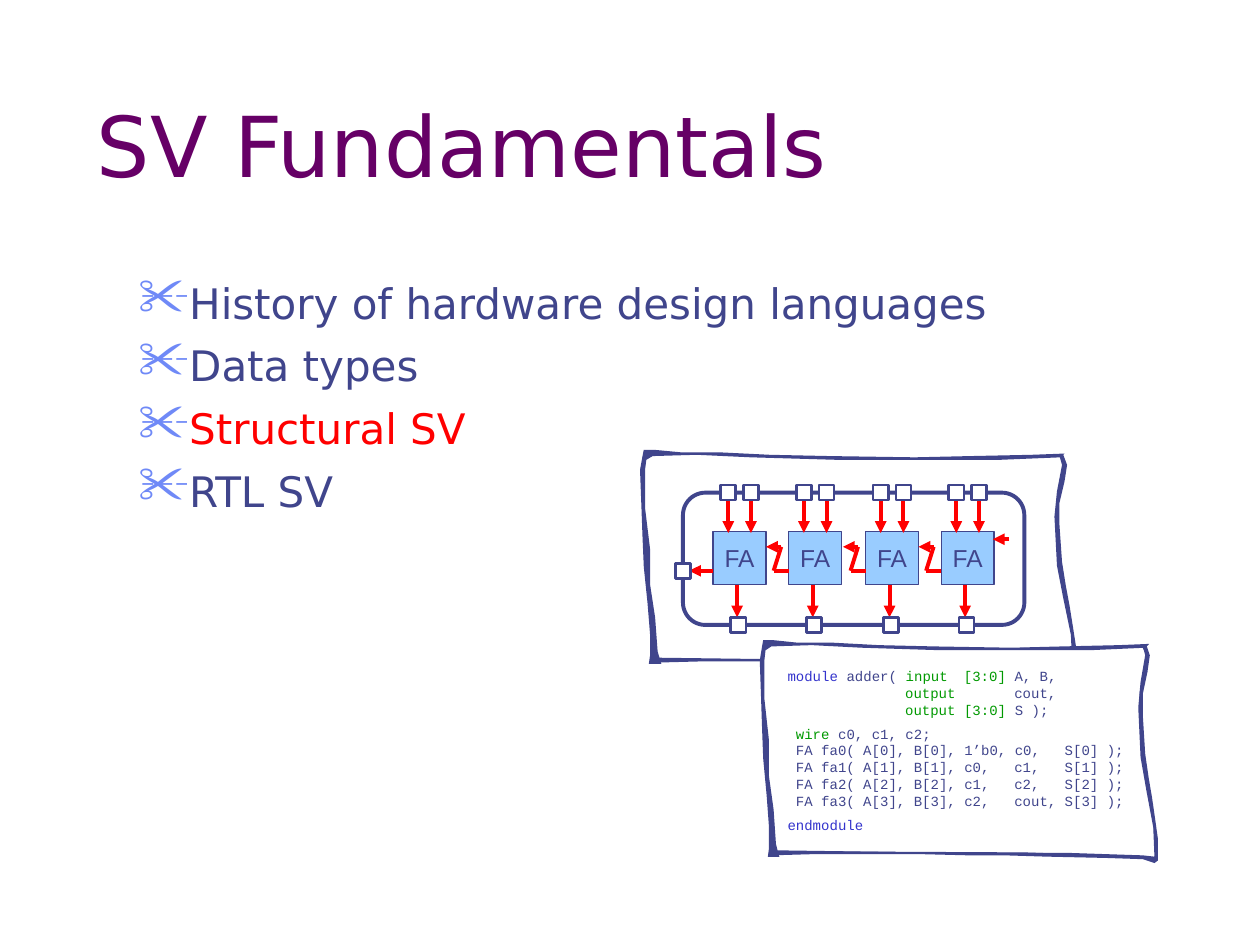
import pptx
import pptx.dml.color
import pptx.enum.shapes
import pptx.enum.text
import pptx.oxml
import pptx.oxml.ns
import pptx.util

RGB = pptx.dml.color.RGBColor
SHAPE = pptx.enum.shapes.MSO_SHAPE
ANCHOR = pptx.enum.text.MSO_ANCHOR
ALIGN = pptx.enum.text.PP_ALIGN

INDIGO = RGB(0x40, 0x45, 0x8C)
PURPLE = RGB(0x66, 0x00, 0x66)
RED = RGB(0xFF, 0x00, 0x00)
SKY = RGB(0x99, 0xCC, 0xFF)
WHITE = RGB(0xFF, 0xFF, 0xFF)
KEYWORD = RGB(0x33, 0x33, 0xCC)
GREEN = RGB(0x00, 0x99, 0x00)
BULLET = RGB(0x6F, 0x89, 0xF7)

PX = 9144  # 100 px to the inch
CODE_CHAR = 60960  # one 8 pt Courier New column, in EMU

# Content: a line is (runs, space before in pt, tab columns)
TITLE = [([("SV Fundamentals", PURPLE)], 0, ())]
TOPICS = [
    ([(topic, color)], 7, ())
    for topic, color in [
        ("History of hardware design languages", INDIGO),
        ("Data types", INDIGO),
        ("Structural SV", RED),
        ("RTL SV", INDIGO),
    ]
]
ADDER_LABEL = [([("FA", INDIGO)], 0, ())]
INSTANCES = [
    " FA fa0( A[0], B[0], 1’b0, c0,\tS[0] );",
    " FA fa1( A[1], B[1], c0,\tc1,\tS[1] );",
    " FA fa2( A[2], B[2], c1,\tc2,\tS[2] );",
    " FA fa3( A[3], B[3], c2,\tcout,\tS[3] );",
]
CODE = [
    ([("module", KEYWORD), (" adder( ", INDIGO), ("input\t[3:0]", GREEN),
      (" A, B,", INDIGO)], 0, (21,)),
    ([("\toutput", GREEN), ("\tcout,", INDIGO)], 0, (14, 27)),
    ([("\toutput [3:0]", GREEN), (" S );", INDIGO)], 0, (14,)),
    ([(" wire", GREEN), (" c0, c1, c2;", INDIGO)], 4, ()),
    *[([(instance, INDIGO)], 0, (27, 33)) for instance in INSTANCES],
    ([("endmodule", KEYWORD)], 4.5, ()),
]

# Hand-drawn frame: two brush strokes, fitted to a box for each frame
TOP_LEFT_STROKE = [
    (842, 363), (793, 365), (732, 365), (665, 365), (596, 363), (553, 361),
    (518, 362), (513, 365), (512, 373), (512, 403), (516, 436), (516, 464),
    (520, 490), (522, 517), (524, 524), (525, 527), (515, 527), (516, 520),
    (516, 504), (514, 479), (511, 450), (510, 426), (509, 399), (508, 373),
    (510, 362), (511, 357), (519, 357), (540, 359), (570, 359), (611, 361),
    (659, 362), (726, 363), (770, 362), (819, 361), (845, 360),
]
BOTTOM_RIGHT_STROKE = [
    (521, 522), (598, 523), (677, 524), (727, 524), (774, 524), (840, 526),
    (850, 527), (849, 504), (843, 475), (838, 449), (836, 410), (838, 390),
    (842, 369), (840, 362), (843, 361), (846, 369), (844, 382), (840, 399),
    (840, 417), (842, 446), (845, 465), (848, 481), (851, 500), (853, 513),
    (853, 530), (850, 532), (840, 529), (808, 528), (757, 527), (721, 526),
    (690, 526), (647, 525), (603, 525), (555, 525), (518, 526),
]
CODE_PAPER = [
    (907, 513), (804, 515), (750, 515), (691, 513), (643, 511), (632, 511),
    (609, 510), (606, 513), (605, 526), (607, 595), (613, 656), (613, 677),
    (813, 678), (905, 681), (915, 683), (918, 680), (916, 656), (907, 599),
    (905, 550), (911, 524), (911, 521),
]

prs = pptx.Presentation()
prs.slide_width, prs.slide_height = 1000 * PX, 750 * PX
slide = prs.slides.add_slide(prs.slide_layouts[6])
shapes = slide.shapes


def add_xml(parent, tag, **attributes):
    child = pptx.oxml.parse_xml(f"<a:{tag} {pptx.oxml.ns.nsdecls('a')}/>")
    for key, value in attributes.items():
        child.set(key, str(value))
    parent.append(child)
    return child


def write(holder, lines, size, font, inset=(0, 0), anchor=ANCHOR.TOP,
          align=ALIGN.LEFT, wrap=True, bullet=None):
    frame = holder.text_frame
    frame.word_wrap, frame.vertical_anchor = wrap, anchor
    frame.margin_left = frame.margin_right = inset[0] * PX
    frame.margin_top = frame.margin_bottom = inset[1] * PX
    for i, (runs, before, columns) in enumerate(lines):
        paragraph = frame.add_paragraph() if i else frame.paragraphs[0]
        paragraph.alignment = align
        paragraph.space_before = pptx.util.Pt(before)
        props = paragraph._p.get_or_add_pPr()
        if bullet:
            props.set("marL", str(37 * PX))
            props.set("indent", str(-37 * PX))
            add_xml(add_xml(props, "buClr"), "srgbClr", val=BULLET)
            add_xml(props, "buSzPct", val=126000)
            add_xml(props, "buChar", char=bullet)
        if columns:
            stops = add_xml(props, "tabLst")
            for column in columns:
                add_xml(stops, "tab", pos=column * CODE_CHAR, algn="l")
        for text, color in runs:
            run = paragraph.add_run()
            run.text = text
            run.font.size, run.font.name = pptx.util.Pt(size), font
            run.font.color.rgb = color


def text_box(box, lines, size, font, **layout):
    write(shapes.add_textbox(*[v * PX for v in box]), lines, size, font, **layout)


def paint(shape, fill, line_width):
    shape.shadow.inherit = False
    if fill is None:
        shape.fill.background()
    else:
        shape.fill.solid()
        shape.fill.fore_color.rgb = fill
    if line_width:
        shape.line.color.rgb = INDIGO
        shape.line.width = pptx.util.Pt(line_width)
    else:
        shape.line.fill.background()
    return shape


def block(kind, box, fill, line_width):
    return paint(shapes.add_shape(kind, *[v * PX for v in box]), fill, line_width)


def wire(x1, y1, x2, y2, arrow=True):
    line = shapes.add_connector(pptx.enum.shapes.MSO_CONNECTOR.STRAIGHT,
                                x1 * PX, y1 * PX, x2 * PX, y2 * PX)
    line.line.color.rgb, line.line.width = RED, pptx.util.Pt(2.25)
    if arrow:
        add_xml(line.line._get_or_add_ln(), "tailEnd", type="triangle")
    add_xml(line._element.spPr, "effectLst")


def outline(points, box, fill, line_width=0):
    xs, ys = zip(*points)
    left, top, width, height = box
    scale_x = width / (max(xs) - min(xs))
    scale_y = height / (max(ys) - min(ys))
    fitted = [(round((left + (x - min(xs)) * scale_x) * PX),
               round((top + (y - min(ys)) * scale_y) * PX)) for x, y in points]
    builder = shapes.build_freeform(*fitted[0], scale=1.0)
    builder.add_line_segments(fitted[1:], close=True)
    paint(builder.convert_to_shape(), fill, line_width)


# Title and topics
text_box((67, 59, 850, 100), TITLE, 48, "DejaVu Sans", inset=(10, 5),
         anchor=ANCHOR.BOTTOM)
text_box((100, 215, 842, 443), TOPICS, 24, "DejaVu Sans", inset=(10, 5), bullet="✂")

# Full adders, with their inputs and sum
adders = [round(566 + 60.3 * i) for i in range(4)]
for left in adders:
    adder = block(SHAPE.RECTANGLE, (left, 422, 42, 42), SKY, 0.75)
    write(adder, ADDER_LABEL, 14, "Arial", inset=(17, 17), anchor=ANCHOR.MIDDLE,
          align=ALIGN.CENTER, wrap=False)
    for x in (left + 12, left + 30):
        wire(x, 391, x, 423)
    wire(left + 19, 464, left + 19, 490)

# Module boundary
boundary = block(SHAPE.ROUNDED_RECTANGLE, (542, 391, 271, 105), None, 2.25)
boundary.adjustments[0] = 0.17

# Carry chain, from carry in on the right to carry out on the left
wire(801, 428, 788, 428)
for left in adders[1:]:
    wire(left, 453, left - 12, 453, arrow=False)
    wire(left - 6, 434, left - 12, 453, arrow=False)
    wire(left - 6, 434, left - 18, 434)
wire(566, 453, 547, 453)

# Ports
ports = [(536, 447)]
for left in adders:
    ports += [(left + 6, 385), (left + 24, 385), (left + 14, 490)]
for x, y in ports:
    block(SHAPE.RECTANGLE, (x, y, 12, 12), WHITE, 1.5)

# Frames around the diagram and the code
outline(TOP_LEFT_STROKE, (508, 357, 337, 170), INDIGO)
outline(BOTTOM_RIGHT_STROKE, (518, 361, 336, 171), INDIGO)
outline(CODE_PAPER, (605, 510, 313, 172), WHITE, 0.75)
outline(TOP_LEFT_STROKE, (603, 508, 309, 172), INDIGO)
outline(BOTTOM_RIGHT_STROKE, (612, 512, 307, 173), INDIGO)

# Code
text_box((625, 530, 269, 133), CODE, 8, "Courier New")

prs.save("out.pptx")
